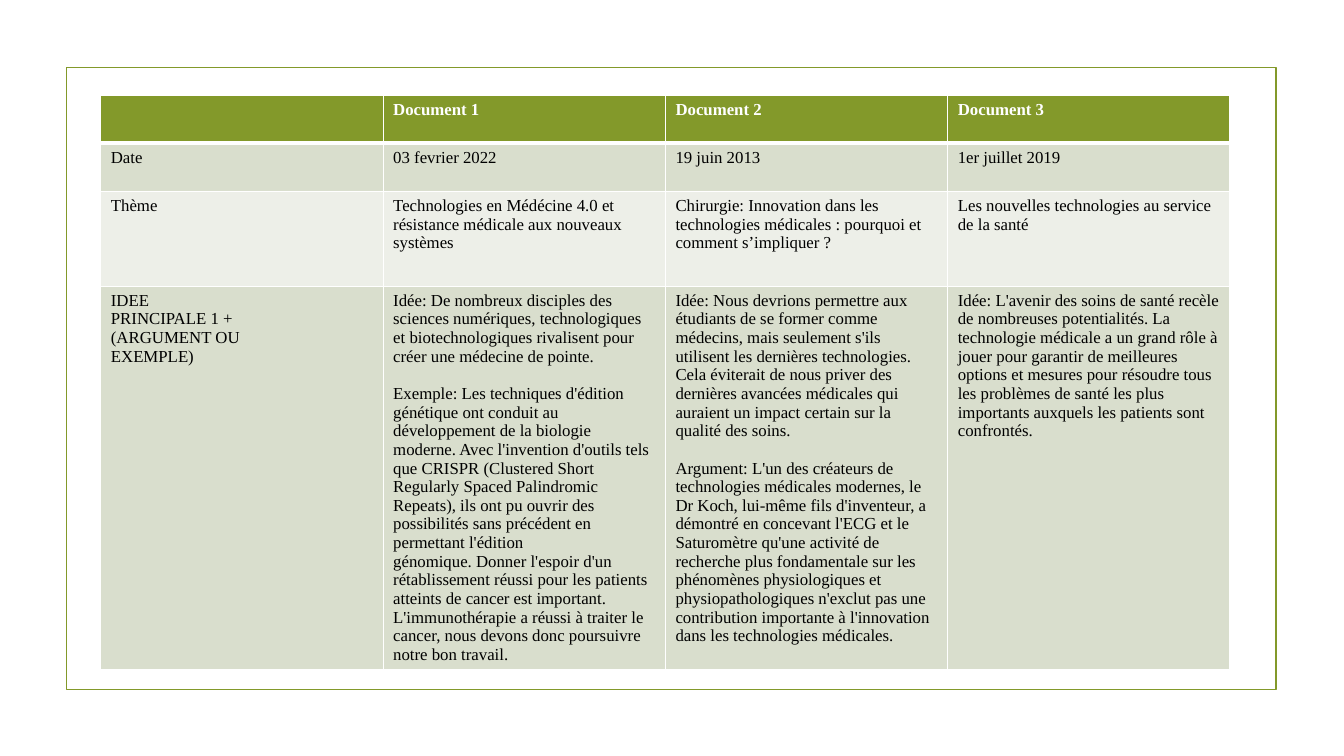
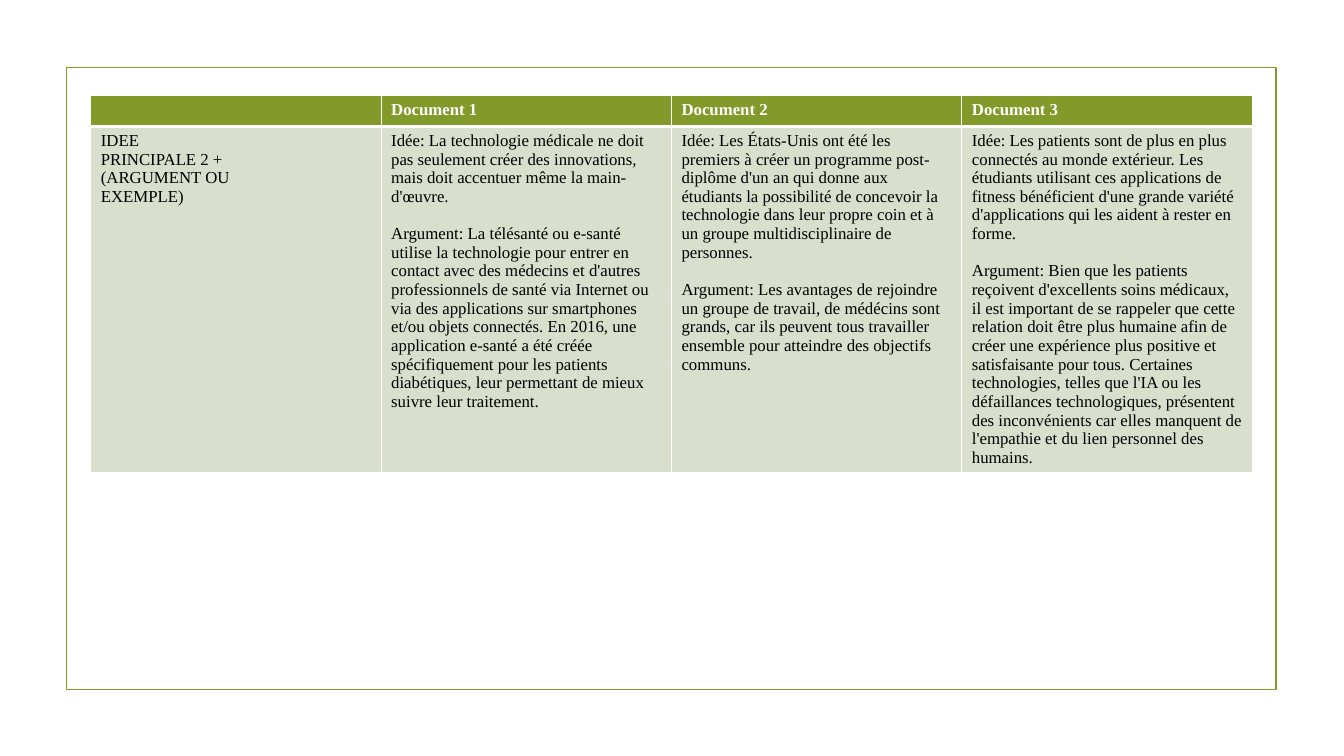
"""Build two slides that compare three documents on medical technology."""
from lxml.etree import SubElement
from pptx import Presentation
from pptx.dml.color import RGBColor
from pptx.enum.shapes import MSO_SHAPE as Shape
from pptx.oxml import parse_xml
from pptx.oxml.ns import nsdecls, qn
from pptx.util import Inches, Pt

GREEN = RGBColor(0x83, 0x99, 0x2A)
SAGE = RGBColor(0xD9, 0xDE, 0xCD)
MIST = RGBColor(0xED, 0xEF, 0xE8)
WHITE = RGBColor(0xFF, 0xFF, 0xFF)
BLACK = RGBColor(0x00, 0x00, 0x00)

TEXT_SIZE = Pt(12)
HEADER_FORMAT = {"name": "Times New Roman", "size": TEXT_SIZE, "bold": True}
BODY_FORMAT = {**HEADER_FORMAT, "bold": False}
ARGUMENT_GAP = Pt(13.3)
THIN, THICK = Pt(1), Pt(3)
TABLE_TOP = 0.95

HEADER = ("", "Document 1", "Document 2", "Document 3")
MAIN_IDEA = "IDEE\nPRINCIPALE {} +\n(ARGUMENT OU\nEXEMPLE)"

SLIDES = [
    {
        "left": 1.0,
        "column_width": 2.8,
        "row_heights": (0.47, 0.48, 0.94, 3.8),
        "rows": [
            HEADER,
            ("Date", "03 fevrier 2022", "19 juin 2013", "1er juillet 2019"),
            (
                "Thème",
                "Technologies en Médécine 4.0 et résistance médicale aux nouveaux systèmes",
                "Chirurgie: Innovation dans les technologies médicales : pourquoi et "
                "comment s’impliquer ?",
                "Les nouvelles technologies au service de la santé",
            ),
            (
                MAIN_IDEA.format(1),
                (
                    "Idée: De nombreux disciples des sciences numériques, technologiques et "
                    "biotechnologiques rivalisent pour créer une médecine de pointe.",
                    "Exemple: Les techniques d'édition génétique ont conduit au développement "
                    "de la biologie moderne. Avec l'invention d'outils tels que CRISPR "
                    "(Clustered Short Regularly Spaced Palindromic Repeats), ils ont pu "
                    "ouvrir des possibilités sans précédent en permettant l'édition",
                    "génomique. Donner l'espoir d'un rétablissement réussi pour les patients "
                    "atteints de cancer est important. L'immunothérapie a réussi à traiter le "
                    "cancer, nous devons donc poursuivre notre bon travail.",
                ),
                (
                    "Idée: Nous devrions permettre aux étudiants de se former comme médecins, "
                    "mais seulement s'ils utilisent les dernières technologies. Cela éviterait "
                    "de nous priver des dernières avancées médicales qui auraient un impact "
                    "certain sur la qualité des soins.",
                    "Argument: L'un des créateurs de technologies médicales modernes, le "
                    "Dr Koch, lui-même fils d'inventeur, a démontré en concevant l'ECG et le "
                    "Saturomètre qu'une activité de recherche plus fondamentale sur les "
                    "phénomènes physiologiques et physiopathologiques n'exclut pas une "
                    "contribution importante à l'innovation dans les technologies médicales.",
                ),
                "Idée: L'avenir des soins de santé recèle de nombreuses potentialités. La "
                "technologie médicale a un grand rôle à jouer pour garantir de meilleures "
                "options et mesures pour résoudre tous les problèmes de santé les plus "
                "importants auxquels les patients sont confrontés.",
            ),
        ],
    },
    {
        "left": 0.9,
        "column_width": 2.88,
        "row_heights": (0.28, 3.43),
        "rows": [
            HEADER,
            (
                MAIN_IDEA.format(2),
                (
                    "Idée: La technologie médicale ne doit pas seulement créer des "
                    "innovations, mais doit accentuer même la main-d'œuvre.",
                    "Argument: La télésanté ou e‐santé utilise la technologie pour entrer en "
                    "contact avec des médecins et d'autres professionnels de santé via "
                    "Internet ou via des applications sur smartphones et/ou objets connectés. "
                    "En 2016, une application e-santé a été créée spécifiquement pour les "
                    "patients diabétiques, leur permettant de mieux suivre leur traitement.",
                ),
                (
                    "Idée: Les États-Unis ont été les premiers à créer un programme "
                    "post-diplôme d'un an qui donne aux étudiants la possibilité de concevoir "
                    "la technologie dans leur propre coin et à un groupe multidisciplinaire de "
                    "personnes.",
                    "Argument: Les avantages de rejoindre un groupe de travail, de médécins "
                    "sont grands, car ils peuvent tous travailler ensemble pour atteindre des "
                    "objectifs communs.",
                ),
                (
                    "Idée: Les patients sont de plus en plus connectés au monde extérieur. Les "
                    "étudiants utilisant ces applications de fitness bénéficient d'une grande "
                    "variété d'applications qui les aident à rester en forme.",
                    "Argument: Bien que les patients reçoivent d'excellents soins médicaux, il "
                    "est important de se rappeler que cette relation doit être plus humaine "
                    "afin de créer une expérience plus positive et satisfaisante pour tous. "
                    "Certaines technologies, telles que l'IA ou les défaillances "
                    "technologiques, présentent des inconvénients car elles manquent de "
                    "l'empathie et du lien personnel des humains.",
                ),
            ),
        ],
    },
]


def add_frame(slide):
    frame = slide.shapes.add_shape(
        Shape.RECTANGLE, Inches(0.66), Inches(0.67), Inches(12), Inches(6.17)
    )
    frame.shadow.inherit = False
    frame.fill.background()
    frame.line.color.rgb = GREEN
    frame.line.width = Pt(1.25)


def set_borders(cell, top, bottom):
    properties = cell._tc.get_or_add_tcPr()
    widths = {"lnL": THIN, "lnR": THIN, "lnT": top, "lnB": bottom}
    for position, (side, width) in enumerate(widths.items()):
        border = parse_xml(
            f'<a:{side} {nsdecls("a")} w="{width}"><a:solidFill>'
            f'<a:srgbClr val="{WHITE}"/></a:solidFill></a:{side}>'
        )
        properties.insert(position, border)


def write_cell(cell, content, text_format, color):
    texts = (content,) if isinstance(content, str) else content
    for index, text in enumerate(texts):
        frame = cell.text_frame
        paragraph = frame.add_paragraph() if index else frame.paragraphs[0]
        paragraph.text = text
        if index == 1:
            paragraph.space_before = ARGUMENT_GAP
        for run in paragraph.runs:
            for name, value in text_format.items():
                setattr(run.font, name, value)
            run.font.color.rgb = color
        if not text:
            size = str(int(TEXT_SIZE.pt * 100))
            SubElement(paragraph._p, qn("a:endParaRPr"), sz=size)


def add_comparison(slide, left, column_width, row_heights, rows):
    columns = len(HEADER)
    table = slide.shapes.add_table(
        len(rows), columns, Inches(left), Inches(TABLE_TOP),
        Inches(column_width * columns), Inches(sum(row_heights)),
    ).table
    table.horz_banding = False
    for column in table.columns:
        column.width = Inches(column_width)
    for row_index, (height, contents) in enumerate(zip(row_heights, rows)):
        table.rows[row_index].height = Inches(height)
        is_header = row_index == 0
        fill = GREEN if is_header else (MIST, SAGE)[row_index % 2]
        text_format = HEADER_FORMAT if is_header else BODY_FORMAT
        for column_index, content in enumerate(contents):
            cell = table.cell(row_index, column_index)
            cell.fill.solid()
            cell.fill.fore_color.rgb = fill
            set_borders(
                cell,
                top=THICK if row_index == 1 else THIN,
                bottom=THICK if is_header else THIN,
            )
            write_cell(cell, content, text_format, WHITE if is_header else BLACK)


def main():
    presentation = Presentation()
    presentation.slide_width = Inches(13.33)
    presentation.slide_height = Inches(7.5)
    for content in SLIDES:
        slide = presentation.slides.add_slide(presentation.slide_layouts[6])
        add_frame(slide)
        add_comparison(slide, **content)
    presentation.save("out.pptx")


if __name__ == "__main__":
    main()
